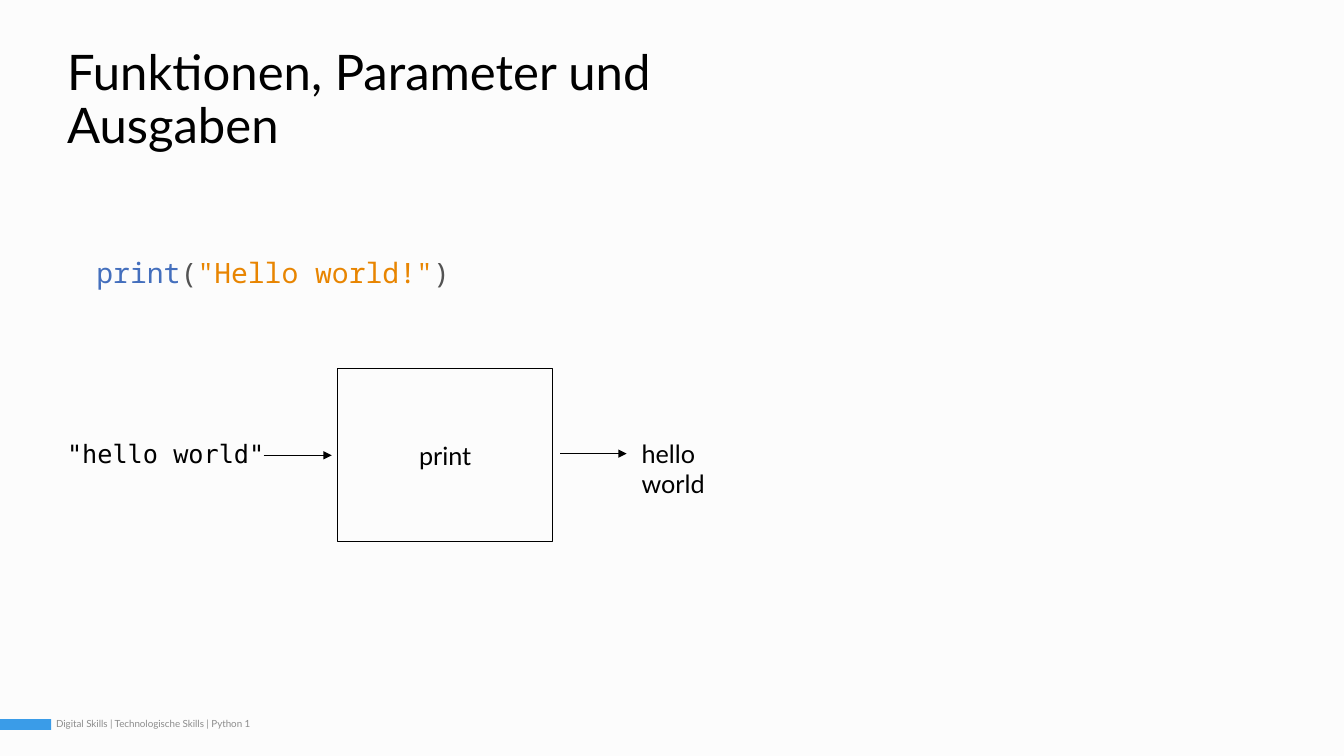
import pptx
import pptx.util
import pptx.dml.color
import pptx.enum.shapes
import pptx.enum.text
import pptx.oxml.ns
import lxml.etree

BLACK = pptx.dml.color.RGBColor(0x00, 0x00, 0x00)
PAPER = pptx.dml.color.RGBColor(0xFC, 0xFC, 0xFC)
FOOTER_GRAY = pptx.dml.color.RGBColor(0x8C, 0x8C, 0x8C)
ACCENT_BLUE = pptx.dml.color.RGBColor(0x3A, 0x9C, 0xE8)
CODE_BLUE = pptx.dml.color.RGBColor(0x44, 0x6F, 0xBD)
CODE_GRAY = pptx.dml.color.RGBColor(0x53, 0x53, 0x53)
CODE_ORANGE = pptx.dml.color.RGBColor(0xE8, 0x85, 0x01)

presentation = pptx.Presentation()
presentation.slide_width = pptx.util.Inches(13.33)
presentation.slide_height = pptx.util.Inches(7.5)
COLUMN = presentation.slide_width / 160
ROW = presentation.slide_height / 90


def grid(column, row, *size):
    across, down = size or (0, 0)
    return [int(length) for length in (column * COLUMN, row * ROW, across * COLUMN, down * ROW)]


def write(text, shape, font="Lato", size=18, color=BLACK, spacing=None,
          align=pptx.enum.text.PP_ALIGN.LEFT, anchor=pptx.enum.text.MSO_ANCHOR.TOP):
    frame = shape.text_frame
    frame.word_wrap = True
    frame.vertical_anchor = anchor
    paragraph = frame.paragraphs[0]
    paragraph.alignment = align
    paragraph.line_spacing = spacing
    run = paragraph.add_run()
    run.text = text
    run.font.name = font
    run.font.size = pptx.util.Pt(size)
    run.font.color.rgb = color


slide = presentation.slides.add_slide(presentation.slide_layouts[6])
slide.background.fill.solid()
slide.background.fill.fore_color.rgb = PAPER
shapes = slide.shapes
RECTANGLE = pptx.enum.shapes.MSO_SHAPE.RECTANGLE
MIDDLE = pptx.enum.text.MSO_ANCHOR.MIDDLE

footer = shapes.add_textbox(*grid(5.5, 83.8, 36, 4.8))
write("Digital Skills | Technologische Skills | Python 1", footer,
      size=7, color=FOOTER_GRAY, anchor=MIDDLE)

footer_bar = shapes.add_shape(RECTANGLE, *grid(0, 85.6, 6.1, 1.3))
footer_bar.shadow.inherit = False
footer_bar.fill.solid()
footer_bar.fill.fore_color.rgb = ACCENT_BLUE
footer_bar.line.fill.background()

title = shapes.add_textbox(*grid(6.8, 5.2, 138, 5.4))
title_paragraph = title.text_frame.paragraphs[0]
write("Funktionen, Parameter und", title, size=35, spacing=0.9)
title_paragraph.add_line_break()
write("Ausgaben", title, size=35, spacing=0.9)

code = shapes.add_textbox(*grid(10.3, 29.8, 46, 5.3))
for token, color in (("print", CODE_BLUE), ("(", CODE_GRAY),
                     ('"Hello world!"', CODE_ORANGE), (")", CODE_GRAY)):
    write(token, code, font="Noto Sans Mono", size=20, color=color)

argument = shapes.add_textbox(*grid(6.8, 51.6, 28, 4.8))
write('"hello world"', argument, font="DejaVu Sans Mono")

function_box = shapes.add_shape(RECTANGLE, *grid(40.2, 43.9, 25.6, 20.6))
function_box.shadow.inherit = False
function_box.fill.background()
function_box.line.color.rgb = BLACK
function_box.line.width = pptx.util.Pt(1)
write("print", function_box, align=pptx.enum.text.PP_ALIGN.CENTER, anchor=MIDDLE)

result = shapes.add_textbox(*grid(75.2, 51.6, 16.7, 4.8))
write("hello", result)
result.text_frame.paragraphs[0].add_line_break()
write("world", result)

for start, end, row in ((31.4, 39.5, 54.2), (66.7, 74.6, 54)):
    arrow = shapes.add_connector(pptx.enum.shapes.MSO_CONNECTOR.STRAIGHT,
                                 *grid(start, row)[:2], *grid(end, row)[:2])
    arrow.line.color.rgb = BLACK
    arrow.line.width = pptx.util.Pt(0.5)
    outline = arrow.line._get_or_add_ln()
    lxml.etree.SubElement(outline, pptx.oxml.ns.qn("a:tailEnd"), type="triangle")
    lxml.etree.SubElement(arrow._element.spPr, pptx.oxml.ns.qn("a:effectLst"))

presentation.save("out.pptx")
